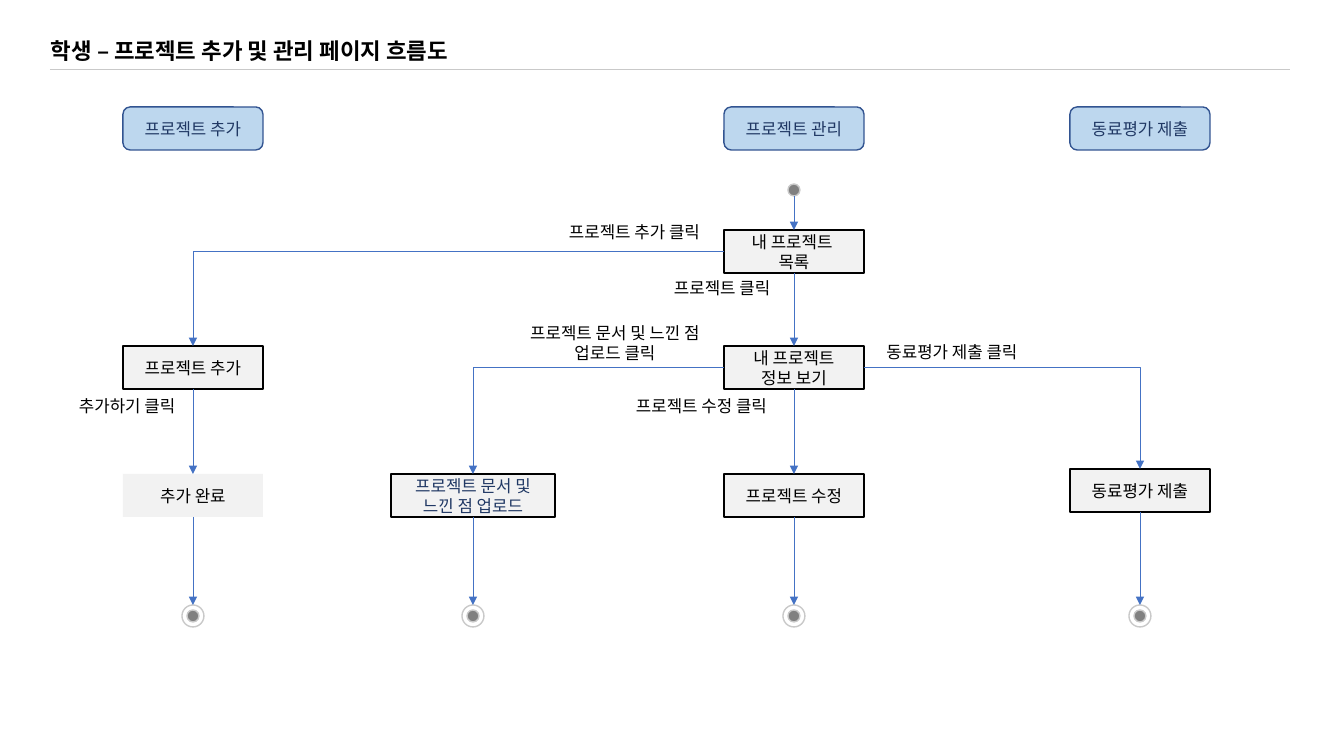
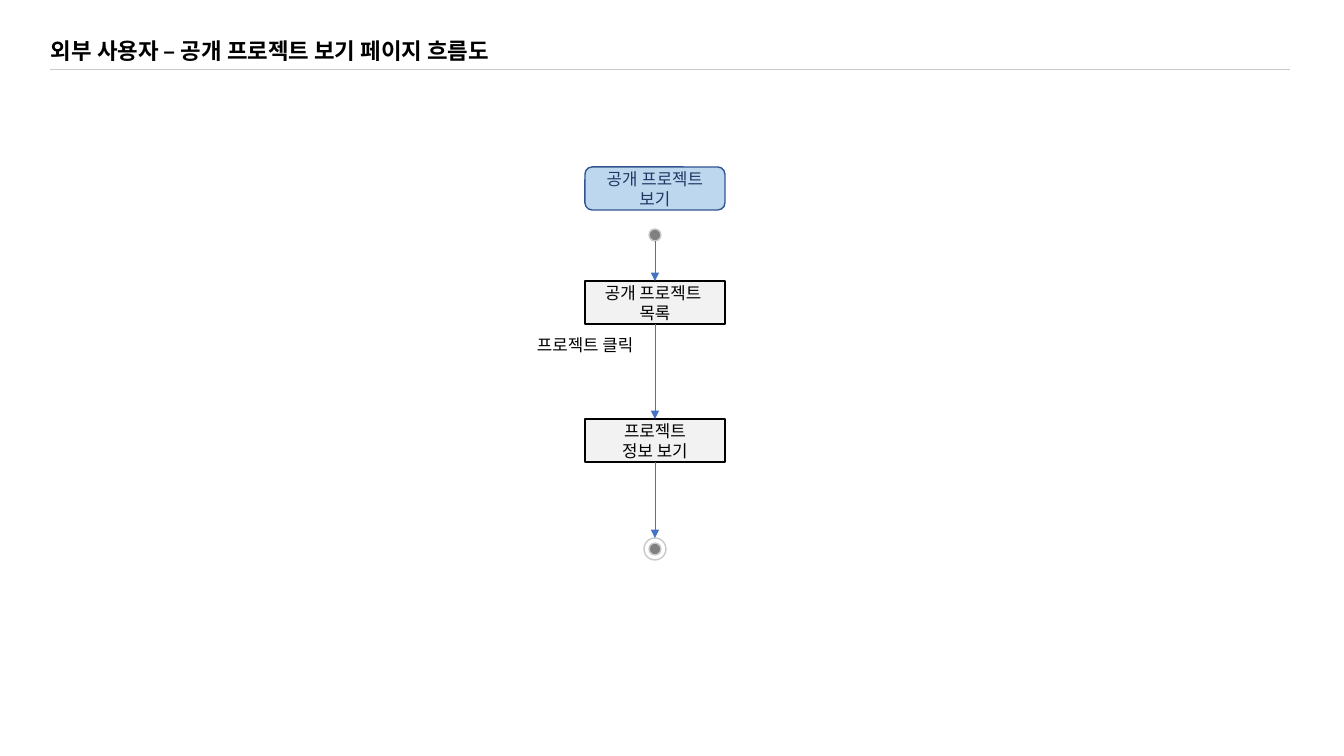
import pptx
import pptx.util
import pptx.dml.color
import pptx.enum.shapes
import pptx.enum.text
import pptx.oxml

FONT = "Noto Sans CJK KR"
BLACK, NAVY, BLUE = "000000", "203864", "4472C4"
SKY, EDGE, PALE = "BDD7EE", "325491", "F2F2F2"
GRAY, SILVER = "808080", "C9C9C9"
WIDE, HIGH, RING, DOT = 140, 43, 22, 12
TOP, LEFT, BOTTOM, RIGHT = range(4)

Form = pptx.enum.shapes.MSO_SHAPE
Link = pptx.enum.shapes.MSO_CONNECTOR
Align = pptx.enum.text.PP_ALIGN
NS = 'xmlns:a="http://schemas.openxmlformats.org/drawingml/2006/main"'


def px(n):
    return pptx.util.Emu(round(n * 914400 / 100.8))


def hue(code):
    return pptx.dml.color.RGBColor.from_string(code)


def node(tag):
    return pptx.oxml.parse_xml(f"<a:{tag} {NS}/>")


def write(shape, text, size=12, color=BLACK, bold=False, align=Align.CENTER):
    frame = shape.text_frame
    frame.word_wrap = True
    frame.text = text
    for line in frame.paragraphs:
        line.alignment = align
        for run in line.runs:
            run.font.size = pptx.util.Pt(size)
            run.font.name = FONT
            run.font.bold = bold
            run.font.color.rgb = hue(color)
            run.font._element.append(node(f'ea typeface="{FONT}"'))


def label(slide, x, y, w, h, text, **style):
    box = slide.shapes.add_textbox(px(x), px(y), px(w), px(h))
    write(box, text, **style)
    box.text_frame.auto_size = pptx.enum.text.MSO_AUTO_SIZE.SHAPE_TO_FIT_TEXT


def note(slide, x, y, w, text, h=30, align=Align.LEFT):
    label(slide, x, y, w, h, text, align=align)


def shape(slide, form, x, y, w, h, fill, edge):
    item = slide.shapes.add_shape(form, px(x), px(y), px(w), px(h))
    item.shadow.inherit = False
    if fill:
        item.fill.solid()
        item.fill.fore_color.rgb = hue(fill)
    else:
        item.fill.background()
    if edge:
        item.line.color.rgb = hue(edge)
        item.line.width = pptx.util.Pt(1)
    else:
        item.line.fill.background()
    return item


def step(slide, mid, y, text, w=WIDE, edge=BLACK, color=BLACK):
    box = shape(slide, Form.RECTANGLE, mid - w / 2, y, w, HIGH, PALE, edge)
    write(box, text, color=color)
    return box


def lane(slide, mid, y, text):
    box = shape(slide, Form.ROUNDED_RECTANGLE, mid - WIDE / 2, y, WIDE, HIGH, SKY, EDGE)
    write(box, text, color=NAVY)


def dot(slide, mid, y):
    return shape(slide, Form.OVAL, mid - DOT / 2, y, DOT, DOT, GRAY, SILVER)


def stop(slide, mid, y):
    dot(slide, mid, y + (RING - DOT) / 2)
    return shape(slide, Form.OVAL, mid - RING / 2, y, RING, RING, None, SILVER)


def stroke(line, color):
    line.line.color.rgb = hue(color)
    line.line.width = pptx.util.Pt(0.5)
    line._element.spPr.append(node("effectLst"))


def arrow(slide, start, end, site=BOTTOM):
    bent = site in (LEFT, RIGHT)
    kind = Link.ELBOW if bent else Link.STRAIGHT
    foot = start.left + start.width // 2, start.top + start.height
    line = slide.shapes.add_connector(kind, *foot, *foot)
    if start.auto_shape_type != Form.OVAL:
        line.begin_connect(start, site)
    line.end_connect(end, TOP)
    if bent:
        line._element.spPr.prstGeom.set("prst", "bentConnector2")
    stroke(line, BLUE)
    line.line._get_or_add_ln().append(node('tailEnd type="triangle"'))


def head(slide, x, y, w, text):
    rule = slide.shapes.add_connector(
        Link.STRAIGHT, px(x + 9), px(y + 37), px(x + 1249), px(y + 37))
    stroke(rule, SILVER)
    label(slide, x, y, w, 37, text, size=16, bold=True, align=Align.LEFT)


def member(slide, x, y):
    add, load, main, peer = x + 70, x + 350, x + 671, x + 1017
    for mid, text in ((add, "프로젝트 추가"), (main, "프로젝트 관리"), (peer, "동료평가 제출")):
        lane(slide, mid, y, text)

    first = dot(slide, main, y + 77)
    menu = step(slide, main, y + 123, "내 프로젝트 \n목록")
    view = step(slide, main, y + 239, "내 프로젝트\n정보 보기")
    form = step(slide, add, y + 239, "프로젝트 추가")
    done = step(slide, add, y + 367, "추가 완료", edge=None)
    file = step(slide, load, y + 367, "프로젝트 문서 및 느낀 점 업로드", w=164, color=NAVY)
    edit = step(slide, main, y + 367, "프로젝트 수정")
    rate = step(slide, peer, y + 362, "동료평가 제출")

    arrow(slide, first, menu)
    arrow(slide, menu, form, LEFT)
    arrow(slide, menu, view)
    arrow(slide, form, done)
    arrow(slide, view, file, LEFT)
    arrow(slide, view, edit)
    arrow(slide, view, rate, RIGHT)
    for box, mid in ((done, add), (file, load), (edit, main), (rate, peer)):
        arrow(slide, box, stop(slide, mid, y + 498))

    note(slide, x + 436, y + 110, 169, "프로젝트 추가 클릭")
    note(slide, x + 541, y + 166, 129, "프로젝트 클릭")
    note(slide, x - 54, y + 284, 128, "추가하기 클릭")
    note(slide, x + 503, y + 284, 173, "프로젝트 수정 클릭")
    note(slide, x + 383, y + 211, 218, "프로젝트 문서 및 느낀 점 업로드 클릭", 50, Align.CENTER)
    note(slide, x + 736, y + 230, 186, "동료평가 제출 클릭", align=Align.CENTER)


def guest(slide, x, y):
    mid = x + WIDE / 2
    lane(slide, mid, y, "공개 프로젝트 보기")
    flow = (
        dot(slide, mid, y + 62),
        step(slide, mid, y + 114, "공개 프로젝트 \n목록"),
        step(slide, mid, y + 252, "프로젝트\n정보 보기"),
        stop(slide, mid, y + 371),
    )
    for start, end in zip(flow, flow[1:]):
        arrow(slide, start, end)
    note(slide, x - 58, y + 163, 129, "프로젝트 클릭")


deck = pptx.Presentation()
deck.slide_width, deck.slide_height = px(1344), px(756)
pages = (
    ("학생 – 프로젝트 추가 및 관리 페이지 흐름도", 472, member, 123, 107),
    ("외부 사용자 – 공개 프로젝트 보기 페이지 흐름도", 517, guest, 585, 167),
)
for title, wide, draw, x, y in pages:
    page = deck.slides.add_slide(deck.slide_layouts[6])
    head(page, 41, 32, wide, title)
    draw(page, x, y)
deck.save("out.pptx")
